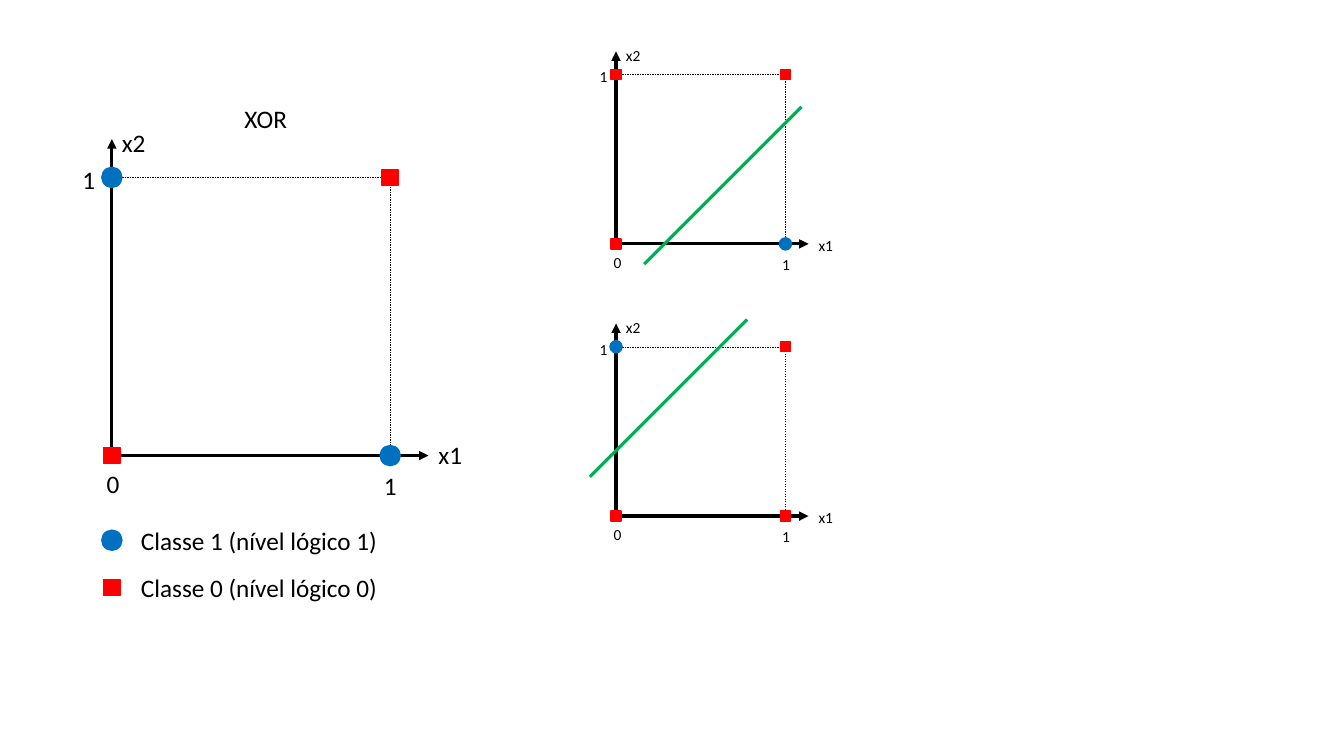
"""Draw the XOR problem beside two linearly separable plots."""
from lxml import etree
from pptx import Presentation
from pptx.dml.color import RGBColor
from pptx.enum.dml import MSO_LINE
from pptx.enum.shapes import MSO_CONNECTOR, MSO_SHAPE
from pptx.enum.text import PP_ALIGN
from pptx.oxml.ns import qn
from pptx.util import Pt

PX = 9144
FONT = "Calibri"
BLACK = RGBColor(0, 0, 0)
RED = RGBColor(0xFF, 0, 0)
BLUE = RGBColor(0, 0x70, 0xC0)
GREEN = RGBColor(0, 0xB0, 0x50)
STRAIGHT = MSO_CONNECTOR.STRAIGHT
RECTANGLE, OVAL = MSO_SHAPE.RECTANGLE, MSO_SHAPE.OVAL
LEFT, CENTER = PP_ALIGN.LEFT, PP_ALIGN.CENTER
DASH = MSO_LINE.DASH
CORNERS = ((0, 0), (1, 0), (0, 1), (1, 1))
LARGE = {"side": 276, "axis": 314, "font": 18, "height": 40, "square": 16, "circle": 20,
         "x1_rise": 21, "x2_rise": 17, "below": 9, "beside": 23}
SMALL = {"side": 168, "axis": 191, "font": 11, "height": 29, "square": 10, "circle": 12,
         "x1_rise": 13, "x2_rise": 10, "below": 5, "beside": 13}


class PlotSlide:
    """Hold the style and the current slide, measured in px."""

    def __init__(self, slide):
        self.slide = slide
        self.shapes = slide.shapes
        self.style = LARGE

    def start_group(self, style):
        self.style = style
        self.shapes = self.slide.shapes.add_group_shape().shapes

    def line(self, start, end, color, arrow=False):
        connector = self.shapes.add_connector(STRAIGHT, *(value * PX for value in (*start, *end)))
        connector.line.color.rgb = color
        connector.line.width = Pt(2.25)
        properties = connector._element.spPr
        if arrow:
            etree.SubElement(properties.find(qn("a:ln")), qn("a:tailEnd"), type="triangle")
        etree.SubElement(properties, qn("a:effectLst"))

    def shape(self, kind, left, top, width, height, color, weight, filled=True):
        shape = self.shapes.add_shape(kind, left * PX, top * PX, width * PX, height * PX)
        shape.shadow.inherit = False
        shape.line.color.rgb = color
        shape.line.width = Pt(weight)
        if filled:
            shape.fill.solid()
            shape.fill.fore_color.rgb = color
        else:
            shape.fill.background()
        return shape

    def marker(self, x, y, active):
        kind, color, size = ((OVAL, BLUE, self.style["circle"]) if active
                             else (RECTANGLE, RED, self.style["square"]))
        self.shape(kind, x - size // 2, y - size // 2, size, size, color, 1)

    def text(self, words, left, top, width, alignment=LEFT):
        box = self.shapes.add_textbox(left * PX, top * PX, width * PX, self.style["height"] * PX)
        frame = box.text_frame
        frame.word_wrap = True
        if alignment == CENTER:
            frame.margin_left = frame.margin_right = 0
        paragraph = frame.paragraphs[0]
        paragraph.text = words
        paragraph.alignment = alignment
        for name, value in {"name": FONT, "size": Pt(self.style["font"])}.items():
            setattr(paragraph.font, name, value)
        paragraph.font.color.rgb = BLACK

    def plot(self, x, y, style, active_corners):
        self.start_group(style)
        side, axis, height = style["side"], style["axis"], style["height"]
        for end in ((x + axis, y), (x, y - axis)):
            self.line((x, y), end, BLACK, arrow=True)
        square = self.shape(RECTANGLE, x, y - side, side, side, BLACK, 0.25, filled=False)
        square.line.dash_style = DASH
        self.text("x1", x + axis, y - style["x1_rise"], height + 17)
        self.text("x2", x, y - axis - style["x2_rise"], height + 17)
        for words, center, top in (("0", x + 1, y + style["below"] - 1),
                                   ("1", x + side, y + style["below"] + 1),
                                   ("1", x - style["beside"], y - side + 2 - height // 2)):
            self.text(words, center - height // 2, top, height, CENTER)
        for column, row in CORNERS:
            self.marker(x + column * side, y - row * side, (column, row) in active_corners)

    def boundary(self, x, y):
        self.line((x, y), (x + 156, y - 156), GREEN)

    def legend(self, words, top, active):
        self.marker(111, top + 20, active)
        self.text(words, 130, top, 277)


def main():
    presentation = Presentation()
    presentation.slide_width, presentation.slide_height = 1333 * PX, 750 * PX
    slide = presentation.slides.add_slide(presentation.slide_layouts[6])
    page = PlotSlide(slide)

    page.plot(111, 452, LARGE, {(0, 1), (1, 0)})
    page.text("XOR", 102, 98, 323, CENTER)
    page.legend("Classe 1 (nível lógico 1)", 516, True)
    page.legend("Classe 0 (nível lógico 0)", 563, False)

    page.plot(611, 512, SMALL, {(0, 1)})
    page.boundary(585, 473)

    page.plot(611, 242, SMALL, {(1, 0)})
    page.boundary(639, 262)

    presentation.save("out.pptx")


if __name__ == "__main__":
    main()
